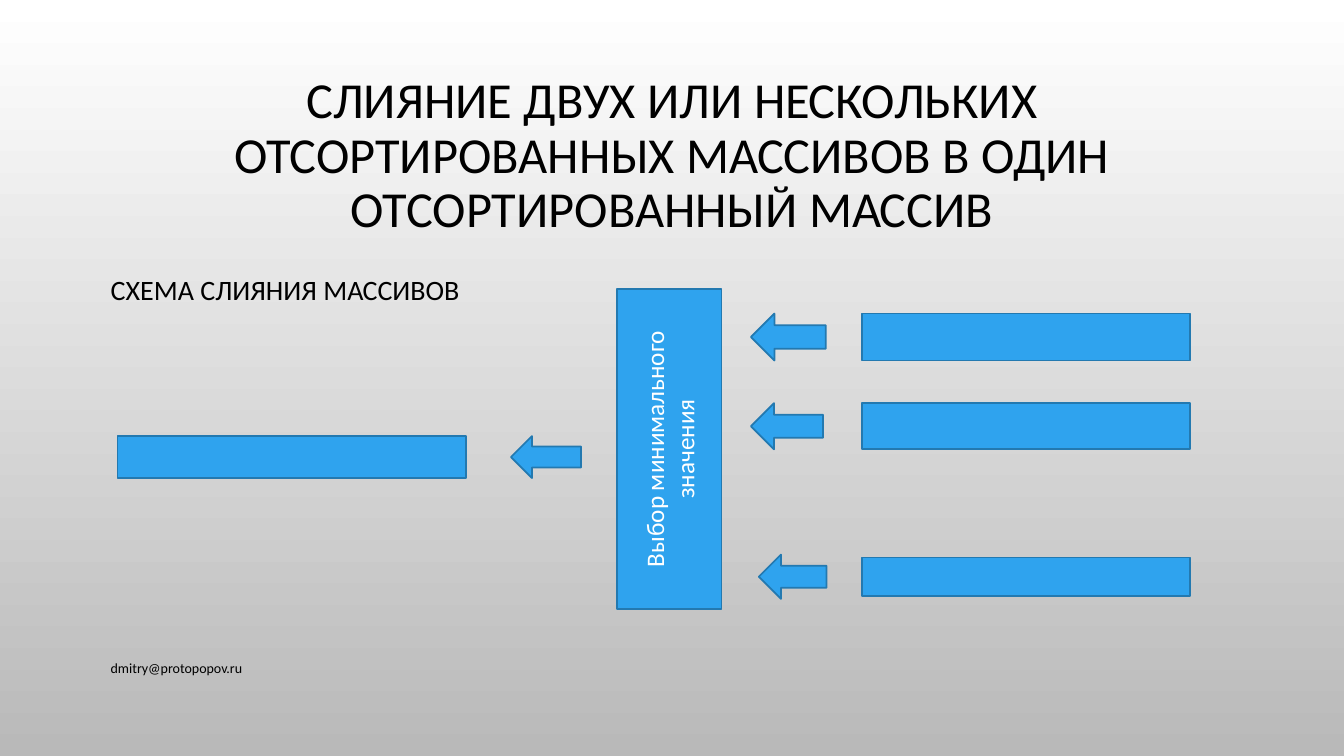
from pptx import Presentation
from pptx.dml.color import RGBColor
from pptx.enum.shapes import MSO_SHAPE
from pptx.enum.text import MSO_ANCHOR, MSO_AUTO_SIZE, PP_ALIGN
from pptx.util import Pt

COLORS = {"top": "FFFFFF", "bottom": "B9B9B9", "fill": "2FA3EE",
          "line": "2379B0", "text": "000000", "label": "FFFFFF"}


def write(sp, text, size, color="text", anchor=MSO_ANCHOR.MIDDLE, **spacing):
    tf = sp.text_frame
    tf.word_wrap = True
    tf.auto_size = MSO_AUTO_SIZE.NONE
    tf.vertical_anchor = anchor
    p = tf.paragraphs[0]
    for name, value in spacing.items():
        setattr(p, name, value)
    r = p.add_run()
    r.text = text
    for name, value in {"name": "Calibri", "size": Pt(size)}.items():
        setattr(r.font, name, value)
    r.font.color.rgb = RGBColor.from_string(COLORS[color])


def block(kind, x, y, w, h):
    sp = s.shapes.add_shape(kind, Pt(x), Pt(y), Pt(w), Pt(h))
    sp.shadow.inherit = False
    sp.fill.solid()
    sp.fill.fore_color.rgb = RGBColor.from_string(COLORS["fill"])
    sp.line.color.rgb = RGBColor.from_string(COLORS["line"])
    sp.line.width = Pt(1.25)
    return sp


prs = Presentation()
prs.slide_width, prs.slide_height = Pt(960), Pt(540)
s = prs.slides.add_slide(prs.slide_layouts[5])

bg = s.background.fill
bg.gradient()
bg.gradient_angle = 270
for stop, name, position in zip(bg.gradient_stops, ("top", "bottom"), (0, 1)):
    stop.color.rgb = RGBColor.from_string(COLORS[name])
    stop.position = position

title = s.shapes.title
for name, value in {"left": 72, "top": 49, "width": 816, "height": 126}.items():
    setattr(title, name, Pt(value))
write(title, "СЛИЯНИЕ ДВУХ ИЛИ НЕСКОЛЬКИХ ОТСОРТИРОВАННЫХ МАССИВОВ "
      "В ОДИН ОТСОРТИРОВАННЫЙ МАССИВ", 36,
      alignment=PP_ALIGN.CENTER, line_spacing=0.9)

subtitle = s.shapes.add_textbox(Pt(72), Pt(186.5), Pt(816), Pt(269))
write(subtitle, "СХЕМА СЛИЯНИЯ МАССИВОВ", 20, anchor=MSO_ANCHOR.TOP,
      line_spacing=1.2, space_before=Pt(10))

footer = s.shapes.add_textbox(Pt(72), Pt(463), Pt(525.6), Pt(28.8))
write(footer, "dmitry@protopopov.ru", 10)

block(MSO_SHAPE.RECTANGLE, 84, 311.5, 248.8, 30)
block(MSO_SHAPE.LEFT_ARROW, 365, 311.5, 50, 30)

selector = block(MSO_SHAPE.RECTANGLE, 440.5, 206.5, 75, 228.5)
write(selector, "Выбор минимального значения", 18, "label",
      alignment=PP_ALIGN.CENTER)
selector.text_frame._txBody.bodyPr.set("vert", "vert270")

sources = [(240.75, 33.5, 536.4, 53.5, 33.5),
           (304.5, 33, 536.4, 51.5, 33),
           (412, 27.5, 542, 48.3, 31.7)]
for middle, bar_h, arrow_x, arrow_w, arrow_h in sources:
    block(MSO_SHAPE.LEFT_ARROW, arrow_x, middle - arrow_h / 2, arrow_w, arrow_h)
    block(MSO_SHAPE.RECTANGLE, 615.6, middle - bar_h / 2, 234.7, bar_h)

prs.save("out.pptx")
